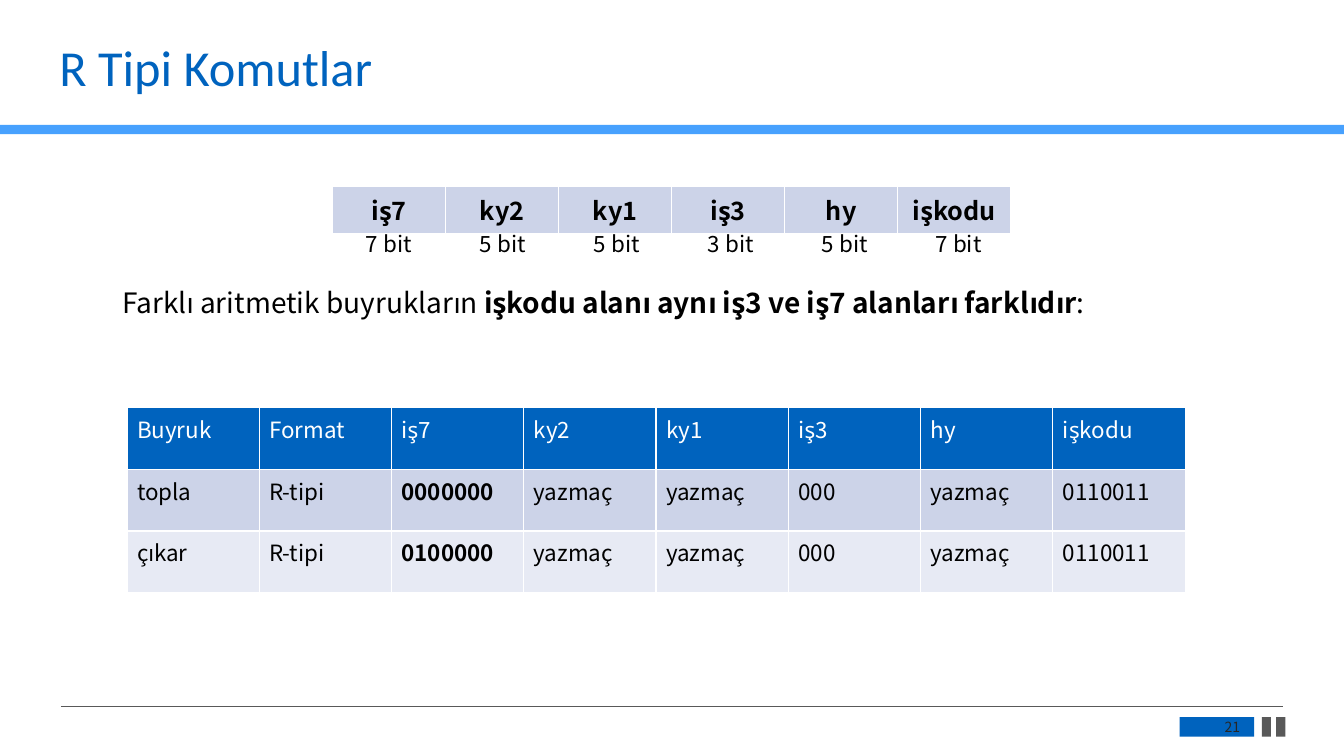
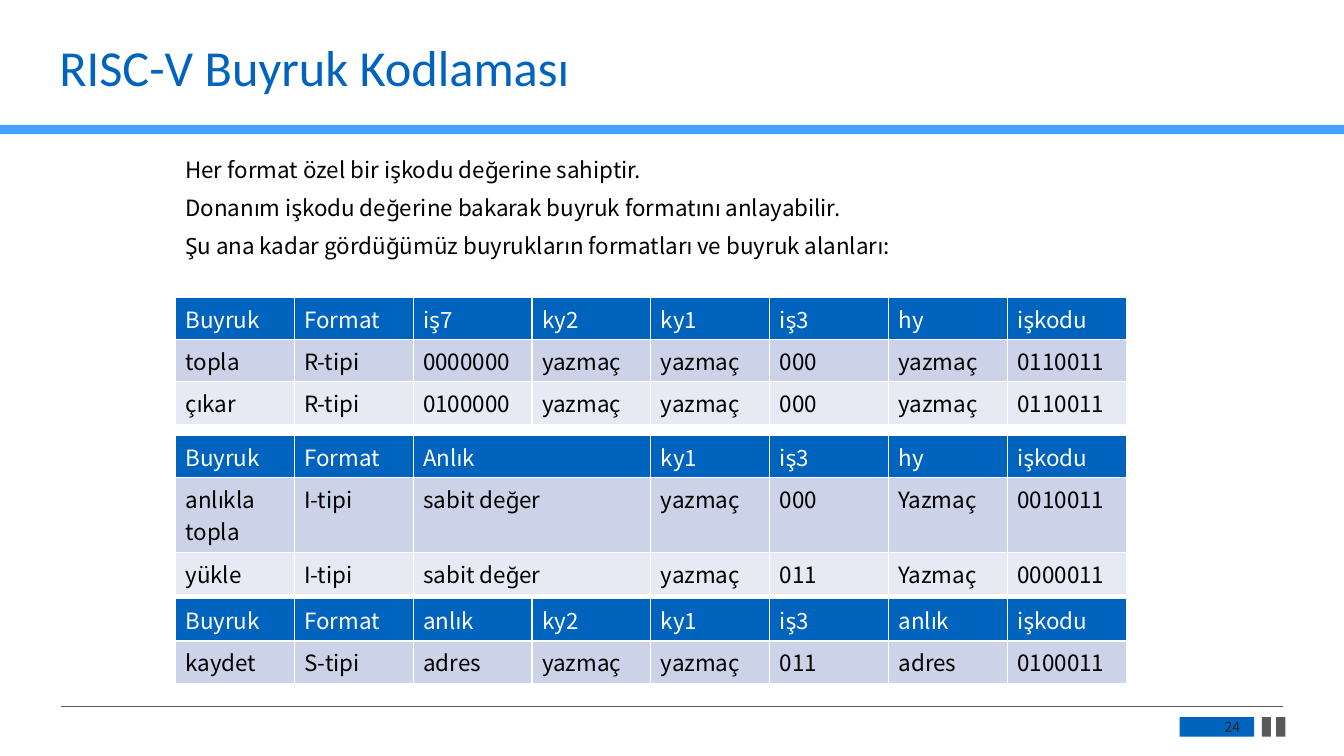
from lxml import etree
from pptx import Presentation
from pptx.dml.color import RGBColor
from pptx.enum.shapes import MSO_CONNECTOR, MSO_SHAPE
from pptx.enum.text import MSO_ANCHOR, PP_ALIGN
from pptx.oxml.ns import qn
from pptx.util import Pt

RECT = MSO_SHAPE.RECTANGLE
LINE = MSO_CONNECTOR.STRAIGHT
MIDDLE = MSO_ANCHOR.MIDDLE
LEFT, CENTER, RIGHT = PP_ALIGN.LEFT, PP_ALIGN.CENTER, PP_ALIGN.RIGHT

BLUE = RGBColor(0x00, 0x63, 0xBE)
SKY = RGBColor(0x47, 0xA1, 0xFE)
GRAY = RGBColor(0x59, 0x59, 0x59)
DARK = RGBColor(0x26, 0x26, 0x26)
BLACK = RGBColor(0, 0, 0)
WHITE = RGBColor(0xFF, 0xFF, 0xFF)
BANDS = (RGBColor(0xCC, 0xD3, 0xE8), RGBColor(0xE7, 0xEA, 0xF4))

HEAD = "Calibri"
BODY = "Noto Sans CJK SC"

FIELDS = ["iş7", "ky2", "ky1", "iş3", "hy", "işkodu"]
MATH = [
    ["Buyruk", "Format", *FIELDS],
    ["topla", "R-tipi", "0000000", "yazmaç", "yazmaç", "000", "yazmaç", "0110011"],
    ["çıkar", "R-tipi", "0100000", "yazmaç", "yazmaç", "000", "yazmaç", "0110011"],
]
CONST = [
    ["Buyruk", "Format", "Anlık", "ky1", "iş3", "hy", "işkodu"],
    ["anlıkla topla", "I-tipi", "sabit değer", "yazmaç", "000", "Yazmaç", "0010011"],
    ["yükle", "I-tipi", "sabit değer", "yazmaç", "011", "Yazmaç", "0000011"],
]
STORE = [
    ["Buyruk", "Format", "anlık", "ky2", "ky1", "iş3", "anlık", "işkodu"],
    ["kaydet", "S-tipi", "adres", "yazmaç", "yazmaç", "011", "adres", "0100011"],
]


class Deck:
    def __init__(self):
        self.show = Presentation()
        self.show.slide_width = Pt(960)
        self.show.slide_height = Pt(540)
        self.slide = None

    def page(self, title, number):
        self.slide = self.show.slides.add_slide(self.show.slide_layouts[6])
        self.block(0, 89.2, 960, 6.6, SKY)
        self.rule(43.4, 504.7, 916.8)
        for left, width, color in ((842.6, 53.2, BLUE), (901.4, 6.5, GRAY), (911.6, 6.5, GRAY)):
            self.block(left, 512.2, width, 14, color)
        self.text(35.3, 27, 877, 46, [[title]], 36, BLUE, HEAD, flow=True)
        frame = self.text(845.3, 513.4, 47.5, 12.2, [[number]], 10, DARK, align=RIGHT)
        frame.vertical_anchor = MIDDLE

    def block(self, left, top, width, height, color):
        shape = self.slide.shapes.add_shape(RECT, Pt(left), Pt(top), Pt(width), Pt(height))
        shape.shadow.inherit = False
        shape.fill.solid()
        shape.fill.fore_color.rgb = color
        shape.line.fill.background()

    def rule(self, left, top, right):
        line = self.slide.shapes.add_connector(LINE, Pt(left), Pt(top), Pt(right), Pt(top))
        line.line.color.rgb = GRAY
        line.line.width = Pt(0.5)
        etree.SubElement(line._element.spPr, qn("a:effectLst"))

    def style(self, run, size, color, face=BODY, bold=False):
        font = run.font
        font.size = Pt(size)
        font.name = face
        font.bold = bold
        font.color.rgb = color

    def text(self, left, top, width, height, lines, size, color=BLACK,
             face=BODY, align=LEFT, flow=False):
        box = self.slide.shapes.add_textbox(Pt(left), Pt(top), Pt(width), Pt(height))
        frame = box.text_frame
        frame.word_wrap = True
        for index, parts in enumerate(lines):
            para = frame.add_paragraph() if index else frame.paragraphs[0]
            para.alignment = align
            if flow:
                para.line_spacing = 0.9
                para.space_before = Pt(10)
            for order, part in enumerate(parts):
                run = para.add_run()
                run.text = part
                self.style(run, size, color, face, order % 2 == 1)
        return frame

    def edge(self, cell):
        props = cell._tc.get_or_add_tcPr()
        for side in "LRTB":
            line = etree.SubElement(props, qn(f"a:ln{side}"), w=str(Pt(1)))
            fill = etree.SubElement(line, qn("a:solidFill"))
            etree.SubElement(fill, qn("a:srgbClr"), val=str(WHITE))

    def table(self, left, top, widths, heights, rows, size=16, head=True,
              align=LEFT, strong=()):
        frame = self.slide.shapes.add_table(
            len(rows), len(widths), Pt(left), Pt(top),
            Pt(sum(widths)), Pt(sum(heights)))
        grid = frame.table
        grid.first_row = grid.horz_banding = False
        for column, width in zip(grid.columns, widths):
            column.width = Pt(width)
        for y, (row, height) in enumerate(zip(rows, heights)):
            grid.rows[y].height = Pt(height)
            top_row = head and y == 0
            fill = BLUE if top_row else BANDS[(y - head) % 2]
            for x, word in enumerate(row):
                cell = grid.cell(y, x)
                self.edge(cell)
                cell.fill.solid()
                cell.fill.fore_color.rgb = fill
                para = cell.text_frame.paragraphs[0]
                para.alignment = align
                para.text = word
                self.style(para.runs[0], size, WHITE if top_row else BLACK,
                           bold=x in strong and not top_row)


def types(deck):
    deck.page("R Tipi Komutlar", "21")
    count = len(FIELDS)
    deck.table(237.6, 133.2, [80.75] * count, [33.4], [FIELDS], 18, False, CENTER, range(count))
    for index, bits in enumerate((7, 5, 5, 3, 5, 7)):
        deck.text(251.5 + 81.4 * index, 161, 52.6, 26.6, [[f"{bits} bit"]], 16, align=CENTER)
    deck.table(90.7, 290.9, [94.5] * 8, [44.2] * 3, MATH, strong=(2,))
    deck.text(80.2, 203, 941, 337, [[
        "Farklı aritmetik buyrukların ",
        "işkodu alanı aynı iş3 ve iş7 alanları farklıdır", ":"]], 20, flow=True)


def codes(deck):
    deck.page("RISC-V Buyruk Kodlaması", "24")
    left, unit = 125.3, 84.9
    deck.text(left, 110.2, 698, 409, [
        ["Her format özel bir işkodu değerine sahiptir."],
        ["Donanım işkodu değerine bakarak buyruk formatını anlayabilir."],
        ["Şu ana kadar gördüğümüz buyrukların formatları ve buyruk alanları:"],
    ], 16, flow=True)
    even = [unit] * 8
    wide = [unit, unit, 2 * unit] + [unit] * 4
    one, two = 30.2, 53.6
    deck.table(left, 212.4, even, [one] * 3, MATH)
    deck.table(left, 311, wide, [one, two, one], CONST)
    deck.table(left, 427.7, even, [one] * 2, STORE)


def main():
    deck = Deck()
    types(deck)
    codes(deck)
    deck.show.save("out.pptx")


if __name__ == "__main__":
    main()
